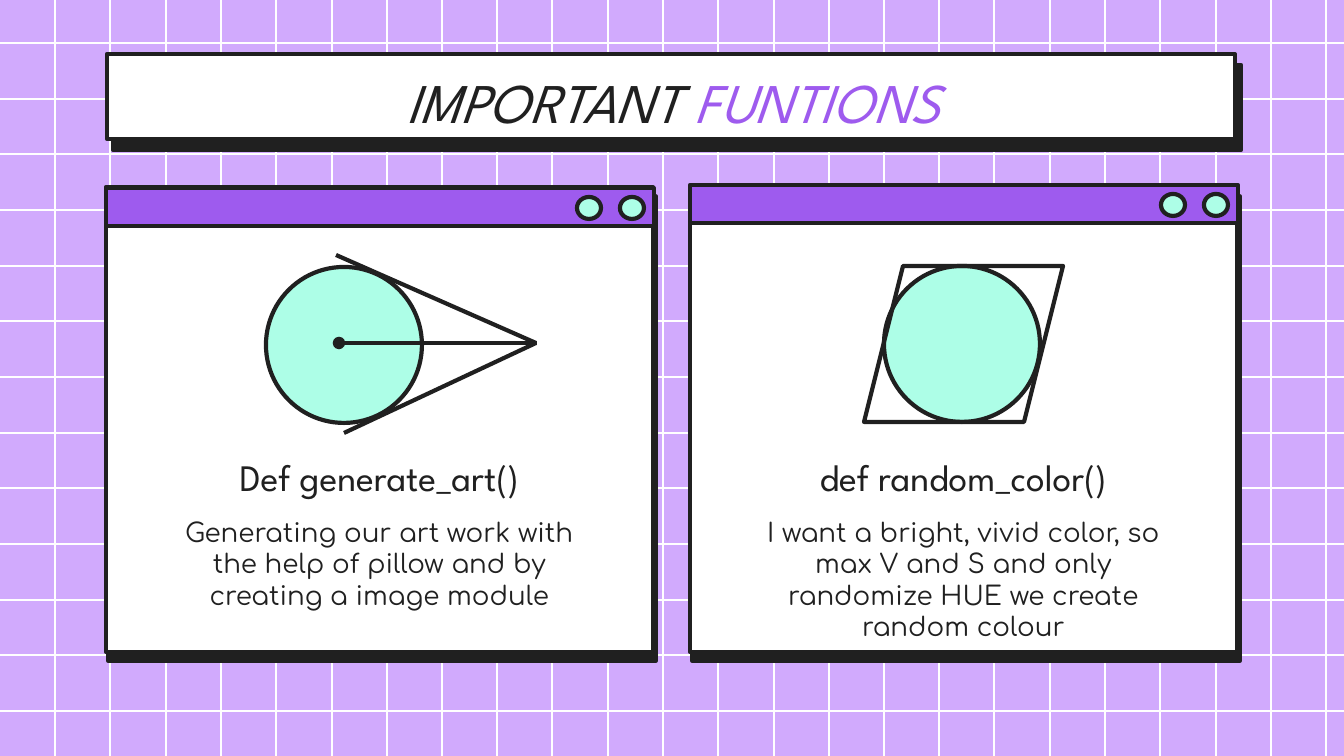
from lxml import etree
from pptx import Presentation
from pptx.dml.color import RGBColor
from pptx.enum.shapes import MSO_CONNECTOR, MSO_SHAPE
from pptx.enum.text import MSO_ANCHOR, MSO_AUTO_SIZE, PP_ALIGN
from pptx.oxml.ns import qn
from pptx.util import Emu, Pt

RECT, OVAL = MSO_SHAPE.RECTANGLE, MSO_SHAPE.OVAL
PARALLELOGRAM = MSO_SHAPE.PARALLELOGRAM
STRAIGHT = MSO_CONNECTOR.STRAIGHT
CENTER, TOP = PP_ALIGN.CENTER, MSO_ANCHOR.TOP
NO_FIT = MSO_AUTO_SIZE.NONE

W, H = 1344, 756
SCALE = 914400 / 134.4
INK, WHITE, LILAC, PURPLE, MINT = "202020", "FFFFFF", "D1AAFD", "9E5BEE", "ADFEE7"
HEAD_FONT, BODY_FONT = "League Spartan", "Comfortaa"


def px(v):
    return Emu(round(v * SCALE))


def color(value):
    return RGBColor.from_string(value)


def add_shape(s, kind, x, y, w, h, fill=None):
    sp = s.shapes.add_shape(kind, px(x), px(y), px(w), px(h))
    sp.shadow.inherit = False
    if fill:
        sp.fill.solid()
        sp.fill.fore_color.rgb = color(fill)
    else:
        sp.fill.background()
    sp.line.color.rgb = color(INK)
    sp.line.width = Pt(2.25)
    return sp


def add_hard_shadow(sp, dist, angle):
    effects = sp.element.spPr.find(qn("a:effectLst"))
    shadow = etree.SubElement(effects, qn("a:outerShdw"), blurRad="0",
                              dist=str(Pt(dist)), dir=str(angle * 60000),
                              algn="bl", rotWithShape="0")
    etree.SubElement(shadow, qn("a:srgbClr"), val=INK)


def add_line(s, x1, y1, x2, y2, stroke=INK, width=2.25, end=None):
    line = s.shapes.add_connector(STRAIGHT, px(x1), px(y1), px(x2), px(y2))
    line.line.color.rgb = color(stroke)
    line.line.width = Pt(width)
    if end:
        etree.SubElement(line.line._get_or_add_ln(), qn("a:tailEnd"), type=end)
    etree.SubElement(line.element.spPr, qn("a:effectLst"))


def set_frame(tf):
    tf.word_wrap = True
    tf.auto_size = NO_FIT
    tf.vertical_anchor = TOP
    tf.margin_left = tf.margin_right = tf.margin_top = tf.margin_bottom = Pt(7.2)
    p = tf.paragraphs[0]
    p.alignment = CENTER
    return p


def add_run(p, text, size, font, fill=INK, italic=None):
    r = p.add_run()
    r.text = text
    r.font.size = Pt(size)
    r.font.name = font
    r.font.italic = italic
    r.font.color.rgb = color(fill)


def add_text(s, text, x, y, w, h, **style):
    box = s.shapes.add_textbox(px(x), px(y), px(w), px(h))
    add_run(set_frame(box.text_frame), text, **style)


def add_grid(s):
    for i in range(13):
        y = round(43 + 55.65 * i)
        add_line(s, 0, y, W, y, WHITE, 0.75)
    for i in range(1, 25):
        x = round(55.25 * i)
        add_line(s, x, 0, x, H, WHITE, 0.75)


def add_banner(s, x, y, w, h):
    band = add_shape(s, RECT, x, y, w, h, WHITE)
    add_hard_shadow(band, 6.8, 60)
    title = s.shapes.title
    title.left, title.top, title.width, title.height = px(x), px(y), px(w + 5), px(h)
    p = set_frame(title.text_frame)
    add_run(p, "IMPORTANT ", 30, HEAD_FONT, italic=True)
    add_run(p, "FUNTIONS", 30, HEAD_FONT, PURPLE, italic=True)
    band.element.addnext(title.element)


def add_window(s, x, y, w, h, bar_dy, heading, body, draw_figure):
    add_hard_shadow(add_shape(s, RECT, x, y, w, h, WHITE), 5.2, 74)
    # Title bar with its two buttons
    add_shape(s, RECT, x, y + bar_dy, w + 1, 38, PURPLE)
    for dx in (471, 514):
        add_shape(s, OVAL, x + dx, y + bar_dy + 9, 24, 22, MINT)
    draw_figure(s, x, y)
    # Function name and description
    add_text(s, heading, x + 60, y + 254, 427, 62, size=20, font=HEAD_FONT)
    add_text(s, body, x + 60, y + 316, 427, 121, size=14, font=BODY_FONT)


def draw_tangents(s, x, y):
    add_shape(s, OVAL, x + 160, y + 80, 156, 156, MINT)
    add_line(s, x + 230, y + 68, x + 430, y + 156)
    add_line(s, x + 430, y + 156, x + 238, y + 246)
    add_line(s, x + 431, y + 156, x + 233, y + 156, end="oval")


def draw_inscribed_circle(s, x, y):
    add_shape(s, OVAL, x + 194, y + 79, 156, 156, MINT)
    add_shape(s, PARALLELOGRAM, x + 174, y + 79, 199, 156)


def main():
    prs = Presentation()
    prs.slide_width, prs.slide_height = px(W), px(H)
    s = prs.slides.add_slide(prs.slide_layouts[5])
    s.background.fill.solid()
    s.background.fill.fore_color.rgb = color(LILAC)

    add_grid(s)
    add_banner(s, 107, 54, 1128, 85)
    windows = [
        (106, 1, "Def generate_art()",
         "Generating our art work with the help of pillow and by creating a image module",
         draw_tangents),
        (690, -2, "def random_color()",
         "I want a bright, vivid color, so max V and S and only randomize HUE "
         "we create random colour",
         draw_inscribed_circle),
    ]
    for x, bar_dy, heading, body, draw_figure in windows:
        add_window(s, x, 187, 547, 465, bar_dy, heading, body, draw_figure)

    prs.save("out.pptx")


if __name__ == "__main__":
    main()
